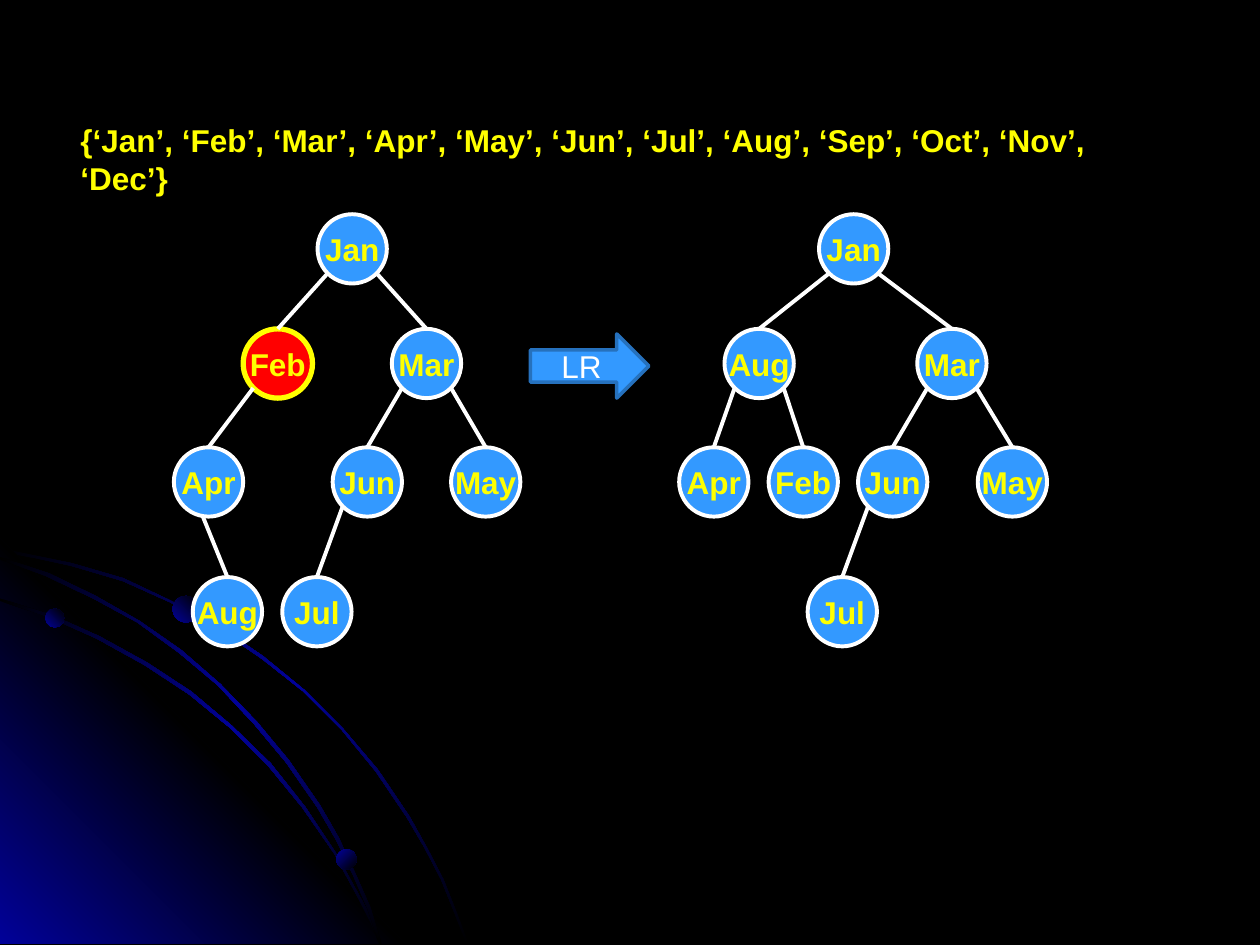
"""Build the slide that shows an LR rotation of an AVL tree of month names."""
from dataclasses import dataclass

from lxml import etree
from pptx import Presentation
from pptx.dml.color import RGBColor
from pptx.enum.shapes import MSO_CONNECTOR, MSO_SHAPE
from pptx.enum.text import MSO_ANCHOR, PP_ALIGN
from pptx.oxml.ns import qn
from pptx.util import Inches, Pt

ELLIPSE = MSO_SHAPE.OVAL
RIGHT_ARROW = MSO_SHAPE.RIGHT_ARROW
STRAIGHT = MSO_CONNECTOR.STRAIGHT
MIDDLE = MSO_ANCHOR.MIDDLE
CENTER = PP_ALIGN.CENTER
LEFT = PP_ALIGN.LEFT


@dataclass(frozen=True)
class Theme:
    """Colours, type and line sizes of the slide."""
    black: str = "000000"
    navy: str = "010199"
    white: str = "FFFFFF"
    yellow: str = "FFFF00"
    blue: str = "3399FF"
    red: str = "FF0000"
    arrow_edge: str = "2671BD"
    font: str = "Arial"
    text_size: float = 18
    edge_width: float = 2.25
    alert_width: float = 3
    arrow_width: float = 2


THEME = Theme()
GLOW = ((0, THEME.black), (50, THEME.navy), (100, THEME.black))
CORNER = ((0, THEME.navy), (50, THEME.black), (100, THEME.navy))
BALL = ((0, THEME.navy), (100, THEME.black))

NODE_SIZE = 0.55
NODE_INSET = 0.08
ROW_TOPS = (1.7, 2.61, 3.55, 4.58)

MONTHS = "{‘Jan’, ‘Feb’, ‘Mar’, ‘Apr’, ‘May’, ‘Jun’, ‘Jul’, ‘Aug’, ‘Sep’, ‘Oct’, ‘Nov’, ‘Dec’}"

TREE_BEFORE = {
    "Jan": (2.52, 0, None), "Feb": (1.93, 1, "Jan"), "Mar": (3.11, 1, "Jan"),
    "Apr": (1.38, 2, "Feb"), "Jun": (2.64, 2, "Mar"), "May": (3.58, 2, "Mar"),
    "Aug": (1.53, 3, "Apr"), "Jul": (2.24, 3, "Jun"),
}
TREE_AFTER = {
    "Jan": (6.5, 0, None), "Aug": (5.75, 1, "Jan"), "Mar": (7.28, 1, "Jan"),
    "Apr": (5.39, 2, "Aug"), "Feb": (6.1, 2, "Aug"), "Jun": (6.81, 2, "Mar"),
    "May": (7.76, 2, "Mar"), "Jul": (6.41, 3, "Jun"),
}

OUTER_ARC = (
    (0.57, 4.47), (0.28, 4.41), (0, 4.35), (0, 4.38), (0.28, 4.43), (0.56, 4.49),
    (0.97, 4.61), (1.35, 4.78), (1.73, 4.99), (2.08, 5.23), (2.41, 5.49), (2.71, 5.79),
    (2.98, 6.12), (3.23, 6.49), (3.37, 6.73), (3.5, 6.98), (3.6, 7.23), (3.7, 7.49),
    (3.72, 7.49), (3.62, 7.23), (3.52, 6.98), (3.39, 6.73), (3.25, 6.48), (3, 6.11),
    (2.72, 5.78), (2.42, 5.48), (2.09, 5.21), (1.74, 4.97), (1.36, 4.77), (0.98, 4.59),
)
CORNER_WEDGE = ((3.22, 7.49), (0, 7.49), (0, 4.27))
INNER_ARC = (
    (2.85, 7.14), (2.94, 7.32), (3.01, 7.49), (3.03, 7.49), (2.96, 7.3), (2.86, 7.12),
    (2.66, 6.76), (2.42, 6.4), (2.15, 6.06), (1.84, 5.76), (1.52, 5.49), (1.17, 5.26),
    (0.79, 5.05), (0.41, 4.88), (0, 4.75), (0, 4.77), (0.39, 4.9), (0.77, 5.07),
    (1.15, 5.28), (1.5, 5.51), (1.83, 5.78), (2.13, 6.08), (2.4, 6.41), (2.65, 6.77),
)
MIDDLE_ARC = (
    (0, 4.42), (0, 4.44), (0.36, 4.57), (0.74, 4.75), (1.09, 4.94), (1.42, 5.18),
    (1.73, 5.44), (2.02, 5.75), (2.27, 6.05), (2.52, 6.41), (2.67, 6.67), (2.8, 6.94),
    (2.92, 7.22), (3.01, 7.49), (3.03, 7.49), (2.94, 7.2), (2.82, 6.93), (2.69, 6.65),
    (2.54, 6.39), (2.29, 6.03), (2.04, 5.73), (1.75, 5.43), (1.44, 5.16), (1.11, 4.93),
    (0.76, 4.73), (0.39, 4.55),
)
SWOOSHES = ((OUTER_ARC, GLOW, 45), (CORNER_WEDGE, CORNER, 315),
            (INNER_ARC, GLOW, 45), (MIDDLE_ARC, GLOW, 45))
BALLS = ((0.36, 4.83, 0.15, 315), (2.67, 6.74, 0.16, 45), (1.37, 4.73, 0.21, 315))


class SlidePainter:
    """Draws themed elements on the current slide."""

    def __init__(self, slide, theme):
        self.slide = slide
        self.shapes = slide.shapes
        self.theme = theme

    def background(self):
        fill = self.slide.background.fill
        fill.solid()
        fill.fore_color.rgb = RGBColor.from_string(self.theme.black)

    def gradient(self, shape, stops, angle):
        shape.shadow.inherit = False
        shape.line.fill.background()
        shape.fill.gradient()
        shape.fill.gradient_angle = (360 - angle) % 360
        stop_list = shape.element.spPr.find(qn("a:gradFill")).find(qn("a:gsLst"))
        for old_stop in list(stop_list):
            stop_list.remove(old_stop)
        for position, color in stops:
            stop = etree.SubElement(stop_list, qn("a:gs"), pos=str(position * 1000))
            etree.SubElement(stop, qn("a:srgbClr"), val=color)

    def swoosh(self, points, stops, angle):
        start, *rest = [(Inches(x), Inches(y)) for x, y in points]
        builder = self.shapes.build_freeform(*start)
        builder.add_line_segments(rest, close=True)
        self.gradient(builder.convert_to_shape(), stops, angle)

    def ball(self, left, top, size, angle):
        shape = self.shapes.add_shape(ELLIPSE, *map(Inches, (left, top, size, size)))
        self.gradient(shape, BALL, angle)

    def label(self, frame, text, color, bold, alignment):
        para = frame.paragraphs[0]
        para.alignment = alignment
        span = para.add_run()
        span.text = text
        style = {"name": self.theme.font, "size": Pt(self.theme.text_size), "bold": bold}
        for name, value in style.items():
            setattr(span.font, name, value)
        span.font.color.rgb = RGBColor.from_string(color)

    def text(self, left, top, width, height, text):
        box = self.shapes.add_textbox(*map(Inches, (left, top, width, height)))
        box.text_frame.word_wrap = True
        self.label(box.text_frame, text, self.theme.yellow, True, LEFT)

    def block(self, kind, bounds, fill, line, width):
        shape = self.shapes.add_shape(kind, *map(Inches, bounds))
        shape.shadow.inherit = False
        shape.fill.solid()
        shape.fill.fore_color.rgb = RGBColor.from_string(fill)
        shape.line.color.rgb = RGBColor.from_string(line)
        shape.line.width = Pt(width)
        shape.text_frame.vertical_anchor = MIDDLE
        return shape

    def node(self, name, left, top, alert):
        theme = self.theme
        look = ((theme.red, theme.yellow, theme.alert_width) if alert
                else (theme.blue, theme.white, theme.edge_width))
        shape = self.block(ELLIPSE, (left, top, NODE_SIZE, NODE_SIZE), *look)
        shape.text_frame.word_wrap = False
        self.label(shape.text_frame, name, theme.yellow, True, CENTER)

    def arrow(self, bounds, text):
        theme = self.theme
        shape = self.block(RIGHT_ARROW, bounds, theme.blue, theme.arrow_edge, theme.arrow_width)
        self.label(shape.text_frame, text, theme.white, False, CENTER)

    def edge(self, start, end):
        line = self.shapes.add_connector(STRAIGHT, *map(Inches, (*start, *end)))
        line.line.color.rgb = RGBColor.from_string(self.theme.white)
        line.line.width = Pt(self.theme.edge_width)
        etree.SubElement(line.element.spPr, qn("a:effectLst"))

    def tree(self, nodes, alert=None, bottom_exit=None):
        for name, (left, row, parent) in nodes.items():
            top = ROW_TOPS[row]
            self.node(name, left, top, name == alert)
            if parent is None:
                continue
            parent_left, parent_row, _ = nodes[parent]
            far_side = NODE_SIZE - NODE_INSET
            exit_x, exit_y = (NODE_INSET if left < parent_left else far_side), far_side
            if parent == bottom_exit:
                exit_x, exit_y = 0.23, NODE_SIZE
            self.edge((parent_left + exit_x, ROW_TOPS[parent_row] + exit_y),
                      (left + NODE_SIZE / 2, top))


def main():
    deck = Presentation()
    deck.slide_width, deck.slide_height = Inches(10), Inches(7.5)
    page = SlidePainter(deck.slides.add_slide(deck.slide_layouts[6]), THEME)
    page.background()
    for swoosh in SWOOSHES:
        page.swoosh(*swoosh)
    for ball in BALLS:
        page.ball(*ball)
    page.text(0.54, 0.91, 8.9, 0.4, MONTHS)
    page.tree(TREE_AFTER)
    page.tree(TREE_BEFORE, alert="Feb", bottom_exit="Apr")
    page.arrow((4.21, 2.65, 0.94, 0.51), "LR")
    deck.save("out.pptx")


if __name__ == "__main__":
    main()
